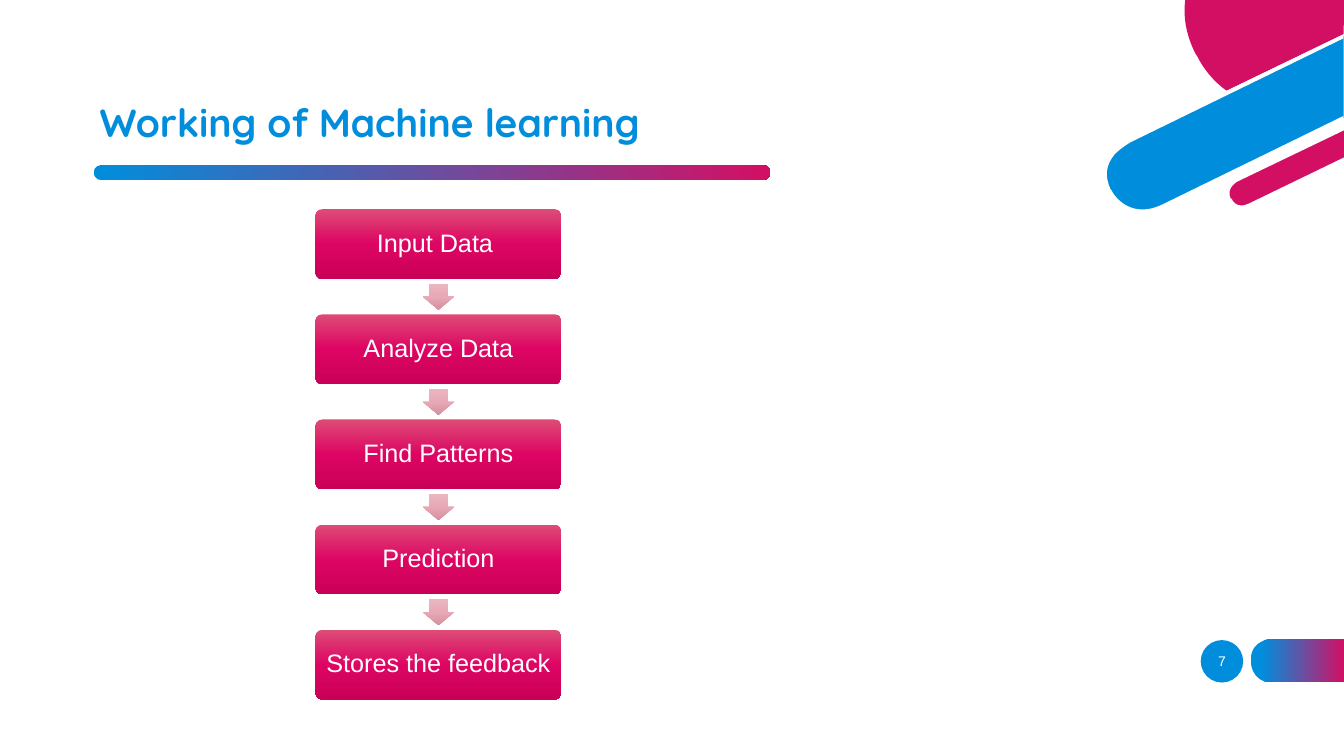
from lxml import etree
from pptx import Presentation
from pptx.dml.color import RGBColor
from pptx.enum.shapes import MSO_SHAPE
from pptx.enum.text import MSO_ANCHOR, PP_ALIGN
from pptx.oxml.ns import qn
from pptx.util import Cm, Pt

ROUNDED = MSO_SHAPE.ROUNDED_RECTANGLE
DOWN_ARROW = MSO_SHAPE.DOWN_ARROW
OVAL = MSO_SHAPE.OVAL
MIDDLE = MSO_ANCHOR.MIDDLE
LEFT = PP_ALIGN.LEFT
CENTER = PP_ALIGN.CENTER

BLUE, PINK, WHITE = "008EDC", "D30F64", "FFFFFF"
BOX_STOPS = [(0, "DD4C77"), (50, "DD0563"), (100, "C90057")]
ARROW_STOPS = [(0, "EAB7C1"), (50, "E9A8B6"), (100, "D3929F")]
STEPS = ["Input Data ", "Analyze Data", "Find Patterns", "Prediction", "Stores the feedback"]

OUTLINE_UNIT = Cm(0.0254)
CORNER_OUTLINES = [
    (WHITE, [(1333, 81), (1306, 94), (1274, 110, 1244, 108, 1219, 89),
             (1199, 74, 1189, 55, 1189, 55), (1188, 52), (1179, 34, 1175, 16, 1178, 0),
             (1174, 0), (1171, 17, 1175, 35, 1184, 54), (1186, 57),
             (1186, 58, 1196, 77, 1216, 92), (1228, 101, 1244, 109, 1265, 109),
             (1277, 109, 1291, 106, 1308, 98), (1333, 86)]),
    (BLUE, [(1121, 139), (1121, 139, 1085, 157, 1101, 189), (1101, 190),
            (1101, 190, 1117, 222, 1154, 204), (1333, 117), (1333, 36)]),
    (PINK, [(1188, 56), (1188, 56, 1197, 76, 1217, 90), (1333, 34), (1334, 0),
            (1176, 0), (1174, 15, 1176, 33, 1186, 53)]),
    (PINK, [(1334, 126), (1227, 178), (1227, 178, 1213, 185, 1220, 197), (1220, 198),
            (1220, 198, 1226, 211, 1240, 204), (1334, 158)]),
    (WHITE, [(1239, 202), (1227, 208, 1222, 198, 1222, 197), (1221, 197),
             (1216, 186, 1228, 180, 1228, 180), (1334, 129), (1334, 124), (1226, 176),
             (1226, 176, 1219, 180, 1217, 187), (1215, 191, 1216, 195, 1218, 199),
             (1220, 203, 1225, 208, 1232, 208), (1235, 208, 1238, 208, 1241, 206),
             (1334, 161), (1334, 156)]),
    (WHITE, [(1153, 203), (1119, 219, 1103, 190, 1103, 189), (1102, 188),
             (1096, 175, 1097, 164, 1106, 153), (1113, 146, 1122, 141, 1122, 141),
             (1333, 38), (1333, 34), (1120, 137), (1119, 138, 1102, 146, 1096, 163),
             (1093, 171, 1094, 180, 1099, 190), (1099, 191),
             (1099, 191, 1110, 212, 1133, 212), (1139, 212, 1146, 210, 1154, 206),
             (1333, 119), (1333, 115)]),
]
PAGE_TAB = [(1262, 677), (1334, 677), (1334, 634), (1262, 634),
            (1262, 634, 1241, 634, 1241, 655), (1241, 656),
            (1241, 656, 1241, 677, 1262, 677)]


def color(value):
    return RGBColor.from_string(value)


def set_format(target, values):
    for name, value in values.items():
        setattr(target, name, value)


def paint(shape, fill, angle=0):
    shape.shadow.inherit = False
    shape.line.fill.background()
    if isinstance(fill, str):
        shape.fill.solid()
        shape.fill.fore_color.rgb = color(fill)
        return
    shape.fill.gradient()
    gradient = shape._element.spPr.find(qn("a:gradFill"))
    gradient.find(qn("a:lin")).set("ang", str(angle * 60000))
    stops = gradient.find(qn("a:gsLst"))
    for stop in list(stops):
        stops.remove(stop)
    for position, value in fill:
        stop = etree.SubElement(stops, qn("a:gs"), pos=str(position * 1000))
        etree.SubElement(stop, qn("a:srgbClr"), val=value)


def add_shape(slide, kind, place, fill, angle=0, adjustments=()):
    shape = slide.shapes.add_shape(kind, *(Cm(length) for length in place))
    for index, value in enumerate(adjustments):
        shape.adjustments[index] = value
    paint(shape, fill, angle)
    return shape


def write(shape, text, align, margin, font, spacing=1.0):
    frame = shape.text_frame
    set_format(frame, {
        "text": text, "word_wrap": True, "vertical_anchor": MIDDLE,
        "margin_left": Cm(margin), "margin_right": Cm(margin),
        "margin_top": Cm(margin), "margin_bottom": Cm(margin),
    })
    paragraph = frame.paragraphs[0]
    set_format(paragraph, {"alignment": align, "line_spacing": spacing, "space_before": Pt(0)})
    name, size, bold, value = font
    run_font = paragraph.runs[0].font
    set_format(run_font, {"name": name, "size": Pt(size), "bold": bold})
    run_font.color.rgb = color(value)


def bend(shape, segments):
    lines = list(shape._element.iter(qn("a:lnTo")))
    for segment in segments:
        count = len(segment) // 2
        group, lines = lines[:count], lines[count:]
        if count == 3:
            curve = etree.Element(qn("a:cubicBezTo"))
            group[0].addprevious(curve)
            for line in group:
                curve.append(line[0])
                line.getparent().remove(line)


def add_outline(slide, segments, fill):
    points = [segment[index:index + 2]
              for segment in segments for index in range(0, len(segment), 2)]
    builder = slide.shapes.build_freeform(*points[0], scale=OUTLINE_UNIT)
    builder.add_line_segments(points[1:], close=True)
    shape = builder.convert_to_shape()
    bend(shape, segments[1:])
    paint(shape, fill)


def add_title(slide, text):
    title = slide.shapes.title
    set_format(title, {"left": Cm(2.26), "top": Cm(2.18), "width": Cm(25.15), "height": Cm(1.93)})
    write(title, text, LEFT, 0.25, ("Quicksand", 28, True, BLUE), 0.9)


def add_decoration(slide):
    badge = add_shape(slide, OVAL, (30.26, 16.13, 1.07, 1.07), BLUE)
    write(badge, "7", CENTER, 0, ("Arial", 10, False, WHITE))
    add_outline(slide, PAGE_TAB, [(12, BLUE), (100, PINK)])
    for fill, segments in CORNER_OUTLINES:
        add_outline(slide, segments, fill)
    add_shape(slide, ROUNDED, (2.36, 4.16, 17.05, 0.38), [(0, BLUE), (100, PINK)], 0, [0.5])


def add_flow(slide, steps):
    left, top, width, height, pitch = 7.95, 5.27, 6.2, 1.76, 2.65
    arrow_width, arrow_height = 0.79, 0.66
    arrow_left = left + (width - arrow_width) / 2
    arrow_offset = (height + pitch - arrow_height) / 2
    for index, step in enumerate(steps):
        box_top = top + index * pitch
        box = add_shape(slide, ROUNDED, (left, box_top, width, height), BOX_STOPS, 90, [0.1])
        write(box, step, CENTER, 0.18, ("Arial", 18, False, WHITE), 0.9)
        if index < len(steps) - 1:
            place = (arrow_left, box_top + arrow_offset, arrow_width, arrow_height)
            add_shape(slide, DOWN_ARROW, place, ARROW_STOPS, 90, [0.6, 0.5])


def main():
    presentation = Presentation()
    set_format(presentation, {"slide_width": Cm(33.87), "slide_height": Cm(19.05)})
    slide = presentation.slides.add_slide(presentation.slide_layouts[5])
    add_decoration(slide)
    add_title(slide, "Working of Machine learning")
    add_flow(slide, STEPS)
    presentation.save("out.pptx")


if __name__ == "__main__":
    main()
